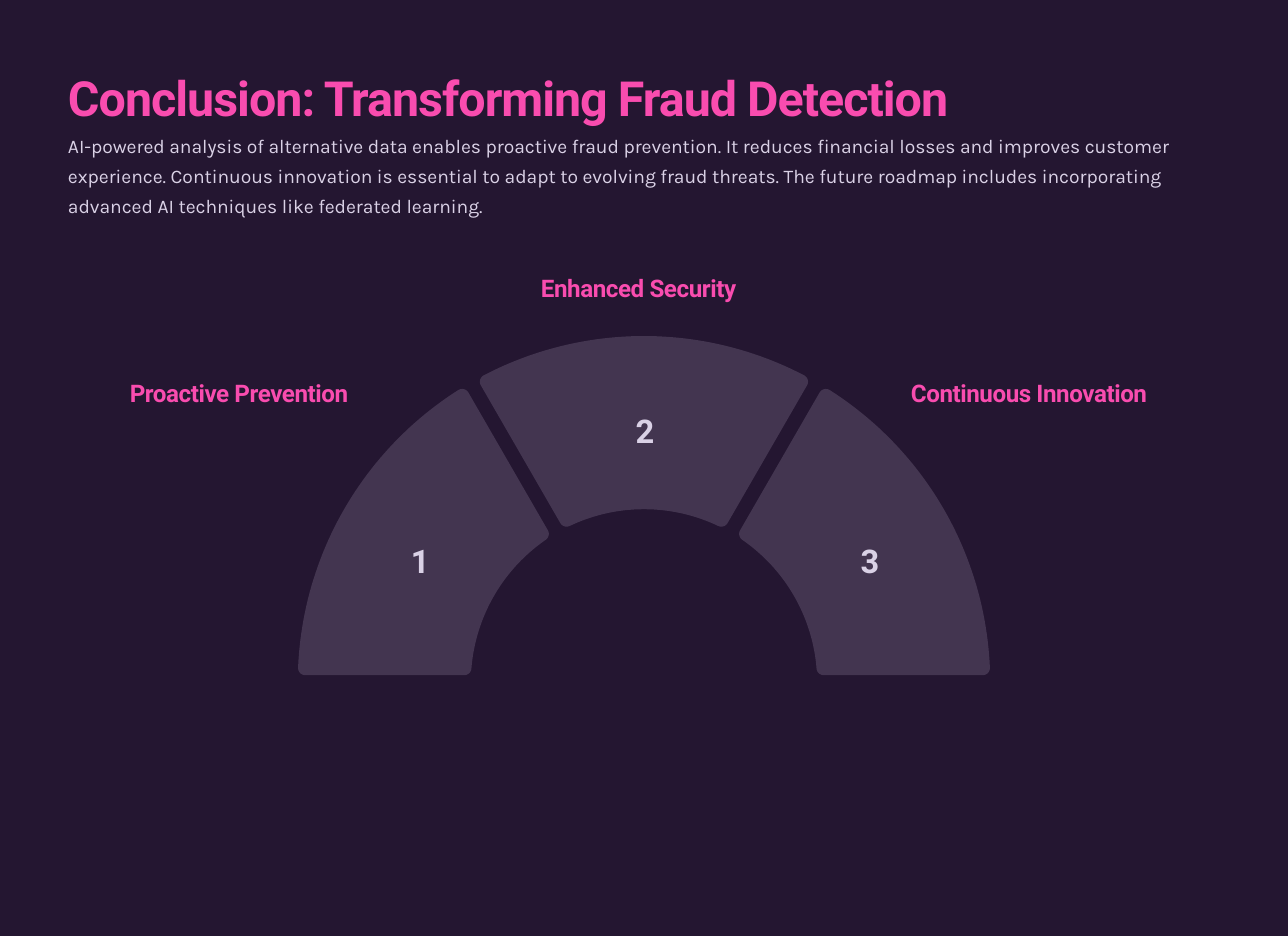
import math

import pptx
import pptx.dml.color
import pptx.enum.text
import pptx.util

Inches = pptx.util.Inches
Pt = pptx.util.Pt
RGBColor = pptx.dml.color.RGBColor

NIGHT = RGBColor(0x24, 0x16, 0x31)
PLUM = RGBColor(0x43, 0x35, 0x50)
PINK = RGBColor(0xF9, 0x4C, 0xAF)
LILAC = RGBColor(0xDA, 0xD1, 0xE6)

CENTER = (6.25, 6.62)
OUTER, INNER = 3.36, 1.68
HALF_GAP = CORNER = 0.07
SWEEP = 60
NUMBER_W, NUMBER_H, NUMBER_DROP = 0.16, 0.41, 0.03

STEPS = [
    ("Proactive Prevention", 1.26, 3.62, 2.39),
    ("Enhanced Security", 5.25, 2.61, 2.03),
    ("Continuous Innovation", 8.84, 3.62, 2.51),
]


def polar(origin, radius, degrees):
    angle = math.radians(degrees)
    return (origin[0] + radius * math.cos(angle),
            origin[1] - radius * math.sin(angle))


def arc(origin, radius, start, end, count):
    return [polar(origin, radius, start + (end - start) * i / count)
            for i in range(count + 1)]


def sector_outline(low, high):
    outer, inner = OUTER - CORNER, INNER + CORNER
    inset = HALF_GAP + CORNER
    outer_trim = math.degrees(math.asin(inset / outer))
    inner_trim = math.degrees(math.asin(inset / inner))
    corners = [
        (outer, high - outer_trim, high - outer_trim, high + 90),
        (inner, high - inner_trim, high + 90, high - inner_trim + 180),
        (inner, low + inner_trim, low + inner_trim + 180, low + 270),
        (outer, low + outer_trim, low - 90, low + outer_trim),
    ]
    rounded = [arc(polar(CENTER, radius, angle), CORNER, start, end, 8)
               for radius, angle, start, end in corners]
    top = arc(CENTER, OUTER, low + outer_trim, high - outer_trim, 48)
    bottom = arc(CENTER, INNER, high - inner_trim, low + inner_trim, 48)
    return top + rounded[0] + rounded[1] + bottom + rounded[2] + rounded[3]


class Deck:
    heading_font = "Roboto"
    body_font = "Karla"

    def __init__(self, width, height):
        self.prs = pptx.Presentation()
        self.prs.slide_width = Inches(width)
        self.prs.slide_height = Inches(height)

    def add_slide(self):
        self.s = self.prs.slides.add_slide(self.prs.slide_layouts[5])
        fill = self.s.background.fill
        fill.solid()
        fill.fore_color.rgb = NIGHT

    def set_text(self, sp, text, size, leading, color, font, bold, spacing):
        tf = sp.text_frame
        tf.word_wrap = True
        tf.auto_size = pptx.enum.text.MSO_AUTO_SIZE.NONE
        tf.vertical_anchor = pptx.enum.text.MSO_ANCHOR.TOP
        tf.margin_left = tf.margin_right = tf.margin_top = tf.margin_bottom = 0
        p = tf.paragraphs[0]
        p.alignment = pptx.enum.text.PP_ALIGN.LEFT
        p.line_spacing = Pt(leading)
        p.space_before = Pt(0)
        r = p.add_run()
        r.text = text
        r.font.size = Pt(size)
        r.font.name = font
        r.font.bold = bold
        r.font.color.rgb = color
        r._r.get_or_add_rPr().set("spc", str(round(spacing * 100)))

    def box(self, left, top, width, height):
        return self.s.shapes.add_textbox(
            Inches(left), Inches(top), Inches(width), Inches(height))

    def title(self, text, left, top, width, height):
        sp = self.s.shapes.title
        sp.left, sp.top = Inches(left), Inches(top)
        sp.width, sp.height = Inches(width), Inches(height)
        self.set_text(sp, text, 33.8, 47.2, PINK, self.heading_font, True, -0.7)

    def body(self, text, left, top, width, height):
        sp = self.box(left, top, width, height)
        self.set_text(sp, text, 13.5, 21.2, LILAC, self.body_font, False, 0)

    def label(self, text, left, top, width):
        sp = self.box(left, top, width, 0.3)
        self.set_text(sp, text, 16.9, 23.6, PINK, self.heading_font, True, -0.3)

    def number(self, text, x, y):
        sp = self.box(x - NUMBER_W / 2, y - NUMBER_H / 2 + NUMBER_DROP,
                      NUMBER_W, NUMBER_H)
        self.set_text(sp, text, 22.8, 31.9, LILAC, self.heading_font, True, -0.5)

    def sector(self, low, high):
        points = [(Inches(x), Inches(y)) for x, y in sector_outline(low, high)]
        builder = self.s.shapes.build_freeform(*points[0])
        builder.add_line_segments(points[1:], close=True)
        sp = builder.convert_to_shape()
        sp.shadow.inherit = False
        sp.fill.solid()
        sp.fill.fore_color.rgb = PLUM
        sp.line.fill.background()


def main():
    deck = Deck(12.5, 9.08)
    deck.add_slide()
    deck.title("Conclusion: Transforming Fraud Detection",
               0.66, 0.57, 10.98, 0.66)
    deck.body(
        "AI-powered analysis of alternative data enables proactive fraud "
        "prevention. It reduces financial losses and improves customer "
        "experience. Continuous innovation is essential to adapt to evolving "
        "fraud threats. The future roadmap includes incorporating advanced AI "
        "techniques like federated learning.",
        0.66, 1.23, 10.98, 0.9)
    for i, (name, left, top, width) in enumerate(STEPS):
        high = 180 - i * SWEEP
        deck.sector(high - SWEEP, high)
        deck.number(str(i + 1),
                    *polar(CENTER, (OUTER + INNER) / 2, high - SWEEP / 2))
        deck.label(name, left, top, width)
    deck.prs.save("out.pptx")


if __name__ == "__main__":
    main()
